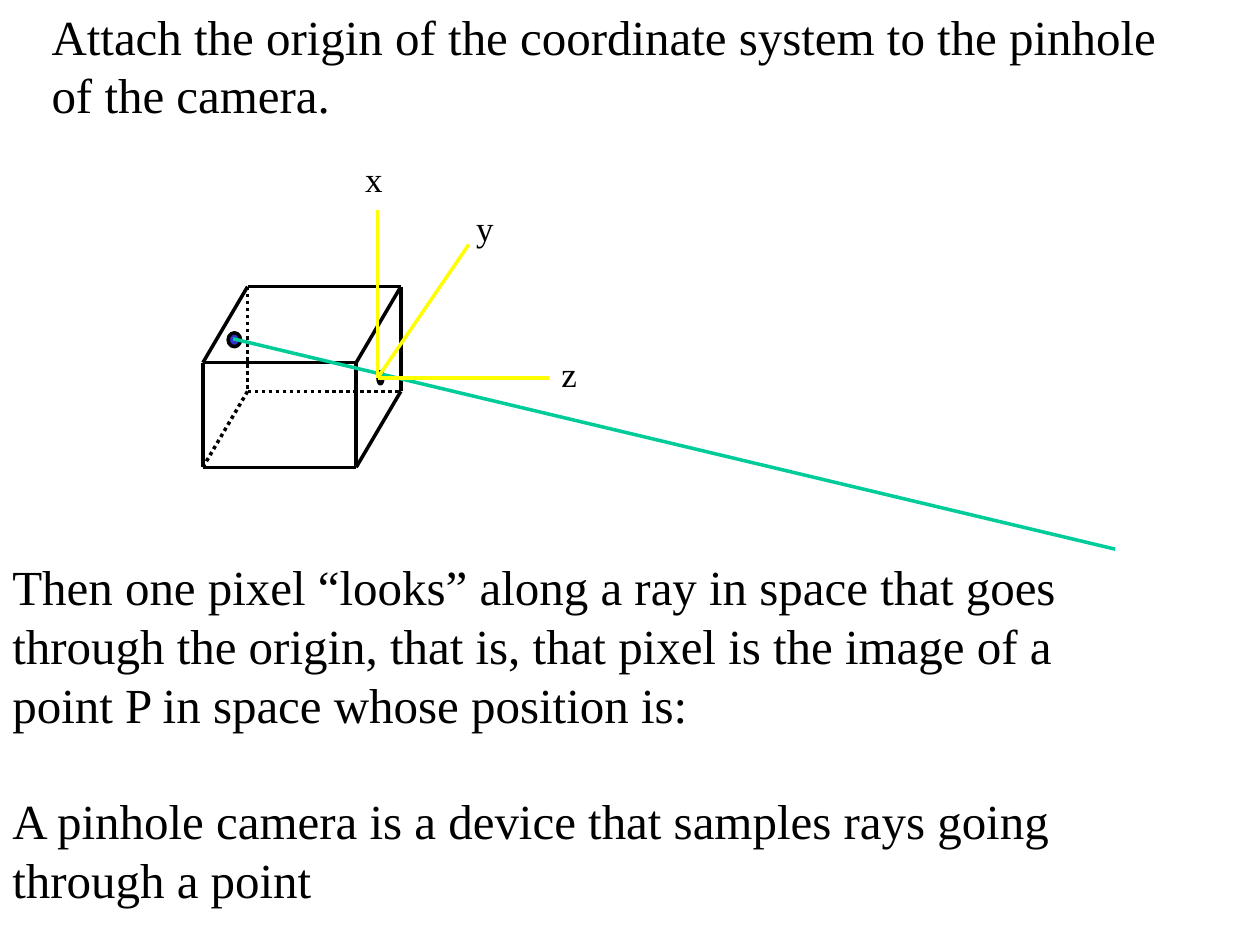
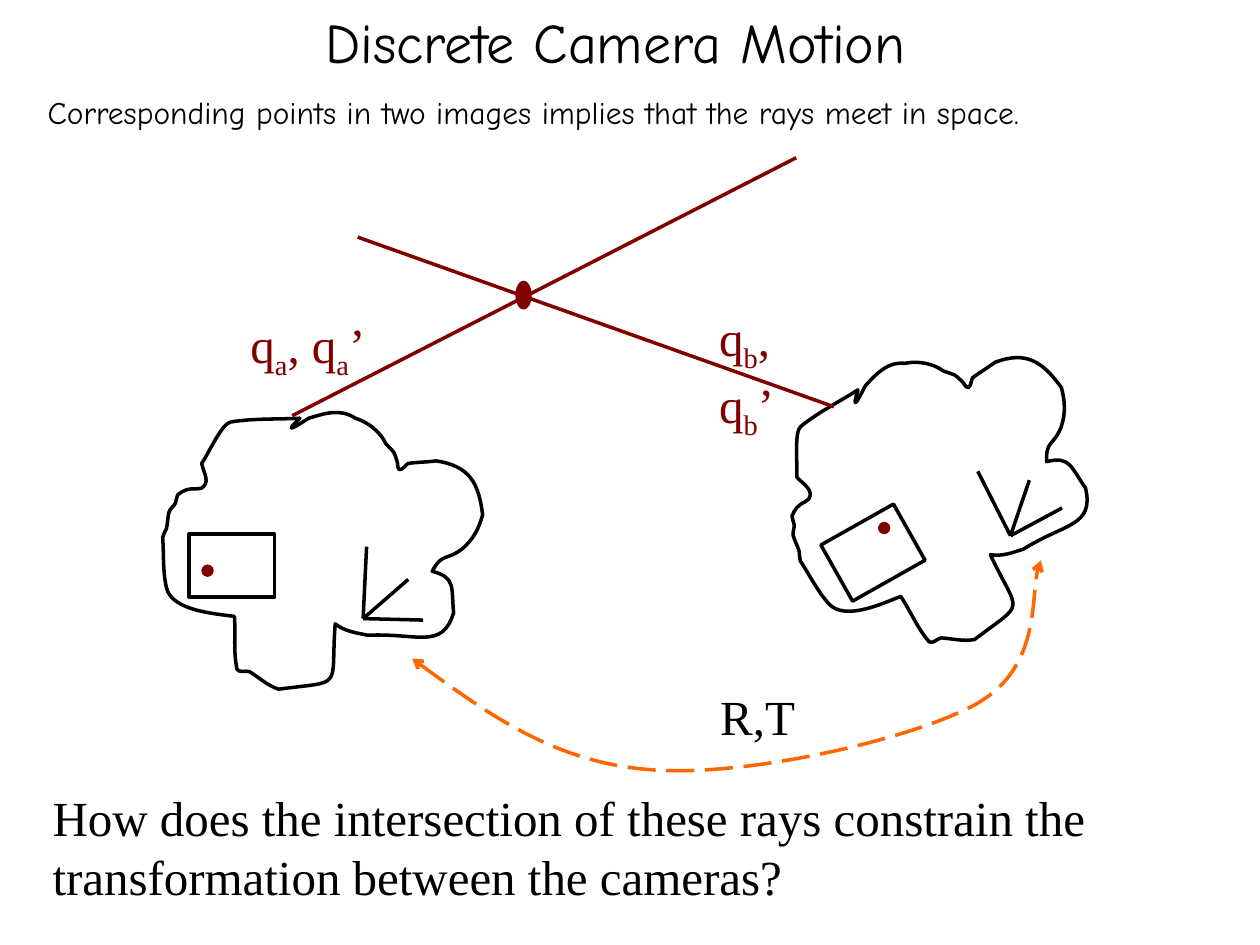
from itertools import combinations, product

from lxml.etree import SubElement
from pptx import Presentation
from pptx.dml.color import RGBColor
from pptx.enum.dml import MSO_LINE
from pptx.enum.shapes import MSO_CONNECTOR, MSO_SHAPE
from pptx.enum.text import MSO_ANCHOR, MSO_AUTO_SIZE, PP_ALIGN
from pptx.oxml.ns import qn
from pptx.util import Cm, Pt

BLACK = RGBColor(0x00, 0x00, 0x00)
WHITE = RGBColor(0xFF, 0xFF, 0xFF)
BLUE = RGBColor(0x33, 0x33, 0xCC)
GREEN = RGBColor(0x00, 0xCC, 0x99)
YELLOW = RGBColor(0xFF, 0xFF, 0x00)
MAROON = RGBColor(0x80, 0x00, 0x00)
ORANGE = RGBColor(0xFF, 0x66, 0x00)

SERIF = "Times New Roman"
COMIC = "Comic Neue"
TITLE_ONLY, BLANK = 5, 6
LINE_WIDTH = Pt(2)
OUTLINE_UNIT = Cm(0.0254)
SUBSCRIPT = "-25000"

CAMERA_OUTLINE = [
    (238, 332), (219, 333), (201, 332), (183, 335), (176, 336), (165, 361), (160, 368),
    (161, 374), (166, 381), (162, 386), (160, 390), (153, 387), (148, 389),
    (146, 390), (143, 391), (141, 393), (140, 395), (140, 397), (139, 400),
    (138, 402), (135, 404), (134, 407), (133, 411), (133, 416), (132, 420),
    (131, 422), (130, 424), (129, 427), (130, 440), (129, 454), (132, 467),
    (136, 486), (173, 488), (186, 490), (187, 504), (185, 518), (188, 532),
    (189, 535), (195, 533), (198, 534), (206, 539), (212, 545), (221, 548),
    (274, 541), (262, 549), (266, 496), (274, 502), (282, 503), (292, 505),
    (331, 503), (351, 517), (360, 487), (358, 467), (362, 459), (343, 454),
    (351, 439), (354, 446), (367, 436), (376, 428), (380, 420), (383, 409),
    (380, 384), (373, 370), (346, 366), (339, 367), (331, 367), (324, 368),
    (322, 369), (320, 373), (317, 373), (315, 372), (316, 368), (315, 366),
    (312, 357), (314, 361), (306, 352), (302, 343), (292, 335), (282, 332),
    (270, 324), (258, 328), (245, 332), (240, 335), (221, 348), (238, 332),
]
MOTION_ARC = [
    (327, 523), (383, 564), (440, 605), (514, 611), (588, 618), (721, 588), (773, 560),
    (825, 532), (817, 464), (826, 445),
]


def apply_format(target, values):
    for name, value in values.items():
        setattr(target, name, value)


def place(shape, frame, rotation=0):
    lengths = map(Cm, frame)
    apply_format(shape, dict(zip(("left", "top", "width", "height"), lengths)))
    shape.rotation = rotation


def style_line(line, color, dash=None):
    line.color.rgb = color
    apply_format(line, {"width": LINE_WIDTH, "dash_style": dash})


def style_shape(shape, fill, outline):
    shape.shadow.inherit = False
    if fill is None:
        shape.fill.background()
    else:
        shape.fill.solid()
        shape.fill.fore_color.rgb = fill
    if outline is None:
        shape.line.fill.background()
    else:
        style_line(shape.line, outline)


def add_line(page, start, end, color, dash=None):
    connector = page.shapes.add_connector(
        MSO_CONNECTOR.STRAIGHT, *map(Cm, (*start, *end)))
    style_line(connector.line, color, dash)
    SubElement(connector._element.spPr, qn("a:effectLst"))


def add_figure(page, kind, frame, fill, outline=None, rotation=0):
    shape = page.shapes.add_shape(kind, *map(Cm, frame))
    style_shape(shape, fill, outline)
    shape.rotation = rotation


def add_dot(page, frame, fill=MAROON, outline=None):
    add_figure(page, MSO_SHAPE.OVAL, frame, fill, outline)


def add_curve(page, points, frame, fill, color, rotation=0, closed=True):
    builder = page.shapes.build_freeform(*points[0], scale=OUTLINE_UNIT)
    builder.add_line_segments(points[1:], close=closed)
    shape = builder.convert_to_shape()
    segments = list(shape._element.iter(qn("a:lnTo")))
    for index in range(0, len(segments), 3):
        trio = segments[index:index + 3]
        bezier = trio[0].makeelement(qn("a:cubicBezTo"))
        trio[0].addprevious(bezier)
        for segment in trio:
            bezier.append(segment[0])
            segment.getparent().remove(segment)
    style_shape(shape, fill, color)
    place(shape, frame, rotation)
    return shape


def add_arrowheads(shape):
    line = shape.line._get_or_add_ln()
    for end in ("a:headEnd", "a:tailEnd"):
        SubElement(line, qn(end), type="arrow")


def write(para, text, size, font=SERIF, color=BLACK):
    span = para.add_run()
    span.text = text
    apply_format(span.font, {"name": font, "size": Pt(size)})
    span.font.color.rgb = color
    return span


def add_box(page, frame, wrap=True):
    box = page.shapes.add_textbox(*map(Cm, frame))
    apply_format(box.text_frame, {
        "word_wrap": wrap, "auto_size": MSO_AUTO_SIZE.SHAPE_TO_FIT_TEXT})
    return box.text_frame.paragraphs[0]


def add_text(page, frame, text, size=28, wrap=True):
    write(add_box(page, frame, wrap), text, size)


def add_ray_label(page, frame, camera):
    para = add_box(page, frame, wrap=False)
    for text in ("q", camera, ", q", camera, "’"):
        span = write(para, text, 28, color=MAROON)
        if text == camera:
            span._r.get_or_add_rPr().set("baseline", SUBSCRIPT)


def set_title(page, frame, text):
    title = page.shapes.title
    place(title, frame)
    title.text_frame.vertical_anchor = MSO_ANCHOR.MIDDLE
    para = title.text_frame.paragraphs[0]
    para.alignment = PP_ALIGN.CENTER
    write(para, text, 32, COMIC)


def add_pinhole_box(page, left, top, width, height, depth):
    hidden_corner = (0, 1, 1)
    for first, second in combinations(product((0, 1), repeat=3), 2):
        if sum(a != b for a, b in zip(first, second)) != 1:
            continue
        ends = [(left + x * width + z * depth[0], top + y * height + z * depth[1])
                for x, y, z in (first, second)]
        hidden = hidden_corner in (first, second)
        add_line(page, *ends, BLACK, MSO_LINE.ROUND_DOT if hidden else None)


def add_axes(page, origin, tips, color):
    for tip in tips:
        add_line(page, origin, tip, color)


def add_camera(page, frame, screen, origin, tips, rotation=0):
    add_curve(page, CAMERA_OUTLINE, frame, WHITE, BLACK, rotation)
    add_figure(page, MSO_SHAPE.RECTANGLE, screen, WHITE, BLACK, rotation)
    add_axes(page, origin, tips, BLACK)


def build_pinhole_page(deck):
    page = deck.slides.add_slide(deck.slide_layouts[BLANK])
    add_pinhole_box(page, 4.09, 7.31, 3.09, 2.11, (0.9, -1.53))
    add_dot(page, (7.62, 7.49, 0.1, 0.25), BLUE, BLACK)
    add_dot(page, (4.6, 6.71, 0.25, 0.28), BLUE, BLACK)
    add_line(page, (4.7, 6.83), (22.48, 11.07), GREEN)
    add_axes(page, (7.61, 7.62), [(7.61, 4.24), (11.07, 7.62), (9.45, 4.93)], YELLOW)
    add_text(page, (0.79, 0, 23.14, 2.64),
             "Attach the origin of the coordinate system to the pinhole of the camera.")
    for name, left, top in (("z", 11.07, 6.99), ("y", 9.35, 4.04), ("x", 7.11, 3.05)):
        add_text(page, (left, top, 0.85, 1.12), name, 20, wrap=False)
    add_text(page, (0, 11.1, 23.14, 3.81),
             "Then one pixel “looks” along a ray in space that goes through the origin, "
             "that is, that pixel is the image of a point P in space whose position is:")
    add_text(page, (0, 15.82, 22.1, 2.64),
             "A pinhole camera is a device that samples rays going through a point")


def build_motion_page(deck):
    page = deck.slides.add_slide(deck.slide_layouts[TITLE_ONLY])
    set_title(page, (1.83, 0, 21.16, 1.65), "Discrete Camera Motion")
    para = add_box(page, (0.71, 1.83, 24.69, 2.34))
    apply_format(para, {"line_spacing": 0.9, "space_before": Pt(4.5)})
    write(para, "Corresponding points in two images implies that the rays meet in space.",
          18, COMIC)
    add_camera(page, (3.28, 8.23, 6.45, 5.69), (3.81, 10.77, 1.73, 1.27),
               (7.32, 12.47), [(7.39, 11.02), (8.53, 12.5), (8.23, 11.68)])
    add_camera(page, (15.85, 7.09, 6.3, 5.77), (16.76, 10.49, 1.68, 1.3),
               (20.37, 10.8), [(19.71, 9.5), (21.41, 10.24), (20.75, 9.68)], 330.6)
    add_dot(page, (4.06, 11.38, 0.25, 0.25))
    add_dot(page, (17.7, 10.52, 0.25, 0.25))
    add_line(page, (5.89, 8.38), (16.05, 3.18), MAROON)
    add_line(page, (16.81, 8.2), (7.21, 4.78), MAROON)
    arc = add_curve(page, MOTION_ARC, (8.31, 11.3, 12.67, 4.39), None, ORANGE,
                    closed=False)
    arc.line.dash_style = MSO_LINE.LONG_DASH
    add_arrowheads(arc)
    add_text(page, (14.27, 13.72, 2.01, 1.45), "R,T", wrap=False)
    add_ray_label(page, (4.8, 6.22, 2.82, 1.6), "a")
    add_ray_label(page, (14.25, 6.07, 2.87, 1.6), "b")
    add_text(page, (0.81, 15.75, 24.13, 2.64),
             "How does the intersection of these rays constrain the transformation "
             "between the cameras?")
    add_dot(page, (10.39, 5.66, 0.33, 0.58))


def main():
    deck = Presentation()
    apply_format(deck, {"slide_width": Cm(25.4), "slide_height": Cm(19.05)})
    build_pinhole_page(deck)
    build_motion_page(deck)
    deck.save("out.pptx")


if __name__ == "__main__":
    main()
